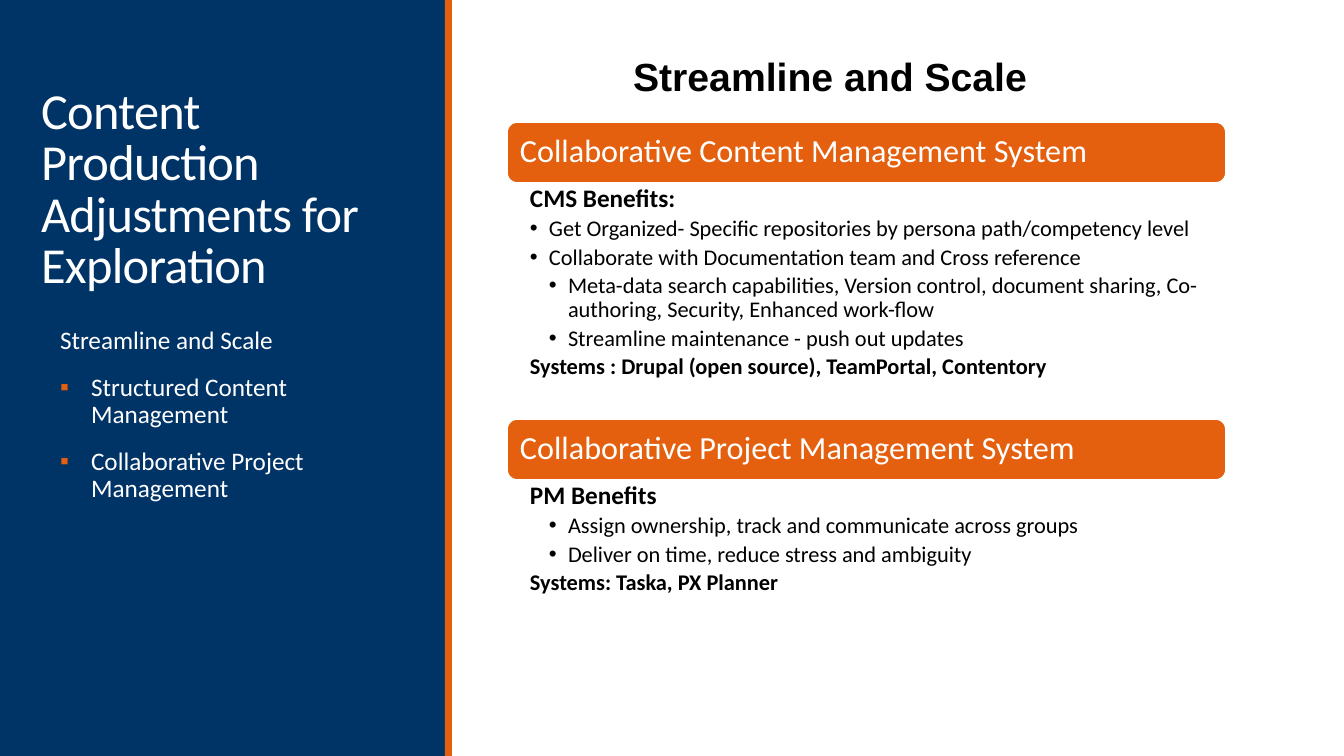
"""Build the slide on content production adjustments for exploration."""
import pptx
import pptx.dml.color
import pptx.enum.shapes
import pptx.enum.text
import pptx.oxml.ns
import pptx.util
from lxml import etree

EMU_PER_PX = 914400 / 100.8
COLORS = {"navy": "003366", "orange": "E4600E", "white": "FFFFFF", "black": "000000"}
HANG = 19
ALIGN = pptx.enum.text.PP_ALIGN
ANCHOR = pptx.enum.text.MSO_ANCHOR
SHAPES = pptx.enum.shapes.MSO_SHAPE


def px(length):
    return pptx.util.Emu(round(length * EMU_PER_PX))


def write(paragraph, text, size, color, bold=False, font="Calibri", spacing=0.9,
          align=ALIGN.LEFT, margin=0, hang=0, bullet=None, bullet_color=None):
    paragraph.text = text
    paragraph.alignment = align
    paragraph.line_spacing = spacing
    props = paragraph._p.get_or_add_pPr()
    props.set("marL", str(px(margin)))
    props.set("indent", str(-px(hang)))
    if bullet_color:
        tint = etree.SubElement(props, pptx.oxml.ns.qn("a:buClr"))
        etree.SubElement(tint, pptx.oxml.ns.qn("a:srgbClr"), val=COLORS[bullet_color])
    if bullet:
        etree.SubElement(props, pptx.oxml.ns.qn("a:buFont"), typeface="Arial")
        etree.SubElement(props, pptx.oxml.ns.qn("a:buChar"), char=bullet)
    else:
        etree.SubElement(props, pptx.oxml.ns.qn("a:buNone"))
    for run in paragraph.runs:
        run.font.name = font
        run.font.size = pptx.util.Pt(size)
        run.font.bold = bold
        run.font.color.rgb = pptx.dml.color.RGBColor.from_string(COLORS[color])


deck = pptx.Presentation()
deck.slide_width, deck.slide_height = px(1344), px(756)
slide = deck.slides.add_slide(deck.slide_layouts[1])
title, topics = slide.placeholders

for kind, left, top, width, height, color in [
    (SHAPES.RECTANGLE, 0, 0, 446, 756, "navy"),
    (SHAPES.RECTANGLE, 445, 0, 7, 756, "orange"),
]:
    panel = slide.shapes.add_shape(kind, px(left), px(top), px(width), px(height))
    panel.shadow.inherit = False
    panel.fill.solid()
    panel.fill.fore_color.rgb = pptx.dml.color.RGBColor.from_string(COLORS[color])
    panel.line.fill.background()
    title._element.addprevious(panel._element)

title.left, title.top, title.width, title.height = px(31), px(89), px(391), px(210)
title.text_frame.auto_size = pptx.enum.text.MSO_AUTO_SIZE.NONE
title.text_frame.vertical_anchor = ANCHOR.BOTTOM
title_line = title.text_frame.paragraphs[0]
write(title_line, "Content Production Adjustments for Exploration", 36, "white", spacing=0.85)
title_line.runs[0]._r.get_or_add_rPr().set("spc", "-50")

topics.left, topics.top, topics.width, topics.height = px(50), px(323), px(353), px(373)
topics.text_frame.auto_size = pptx.enum.text.MSO_AUTO_SIZE.NONE
topics.text_frame.text = "Streamline and Scale\nStructured Content Management\nCollaborative Project Management"
for number, topic in enumerate(topics.text_frame.paragraphs):
    bulleted = {"margin": 31, "hang": 31, "bullet": "▪", "bullet_color": "orange"} if number else {}
    write(topic, topic.text, 18, "white", **bulleted)
    topic.space_before = pptx.util.Pt(12 if number else 0)
    topic.space_after = pptx.util.Pt(2)

headline = slide.shapes.add_textbox(px(482), px(47), px(696), px(57))
headline.text_frame.word_wrap = True
write(headline.text_frame.paragraphs[0], "Streamline and Scale", 28, "black", bold=True,
      font="Arial", spacing=1.0, align=ALIGN.CENTER)

sections = [
    (122, 236, "Collaborative Content Management System", [
        (0, 18, "CMS Benefits:"),
        (1, 16, "Get Organized- Specific repositories by persona path/competency level"),
        (1, 16, "Collaborate with Documentation team and Cross reference"),
        (2, 16, "Meta-data search capabilities, Version control, document sharing, "
                "Co-authoring, Security, Enhanced work-flow"),
        (2, 16, "Streamline maintenance - push out updates"),
        (0, 16, "Systems : Drupal (open source), TeamPortal, Contentory"),
    ]),
    (419, 126, "Collaborative Project Management System", [
        (0, 18, "PM Benefits"),
        (2, 16, "Assign ownership, track and communicate across groups"),
        (2, 16, "Deliver on time, reduce stress and ambiguity"),
        (0, 16, "Systems: Taska, PX Planner"),
    ]),
]
for top, list_height, heading, benefits in sections:
    band = slide.shapes.add_shape(SHAPES.ROUNDED_RECTANGLE, px(507), px(top), px(719), px(61))
    band.shadow.inherit = False
    band.fill.solid()
    band.fill.fore_color.rgb = pptx.dml.color.RGBColor.from_string(COLORS["orange"])
    band.line.color.rgb = pptx.dml.color.RGBColor.from_string(COLORS["white"])
    band.line.width = pptx.util.Pt(1.25)
    band.text_frame.word_wrap = True
    band.text_frame.vertical_anchor = ANCHOR.MIDDLE
    band.text_frame.margin_left = band.text_frame.margin_right = px(10)
    write(band.text_frame.paragraphs[0], heading, 23, "white")

    details = slide.shapes.add_textbox(px(507), px(top + 61), px(719), px(list_height)).text_frame
    details.word_wrap = True
    details.margin_left, details.margin_right = px(23), px(14)
    details.margin_top = details.margin_bottom = px(3)
    details.text = "\n".join(text for _, _, text in benefits)
    for benefit, (depth, size, text) in zip(details.paragraphs, benefits):
        write(benefit, text, size, "black", bold=depth == 0, margin=depth * HANG,
              hang=HANG if depth else 0, bullet="•" if depth else None)
        benefit.level = max(depth, 1)
        benefit.space_after = pptx.util.Pt(3)

deck.save("out.pptx")
